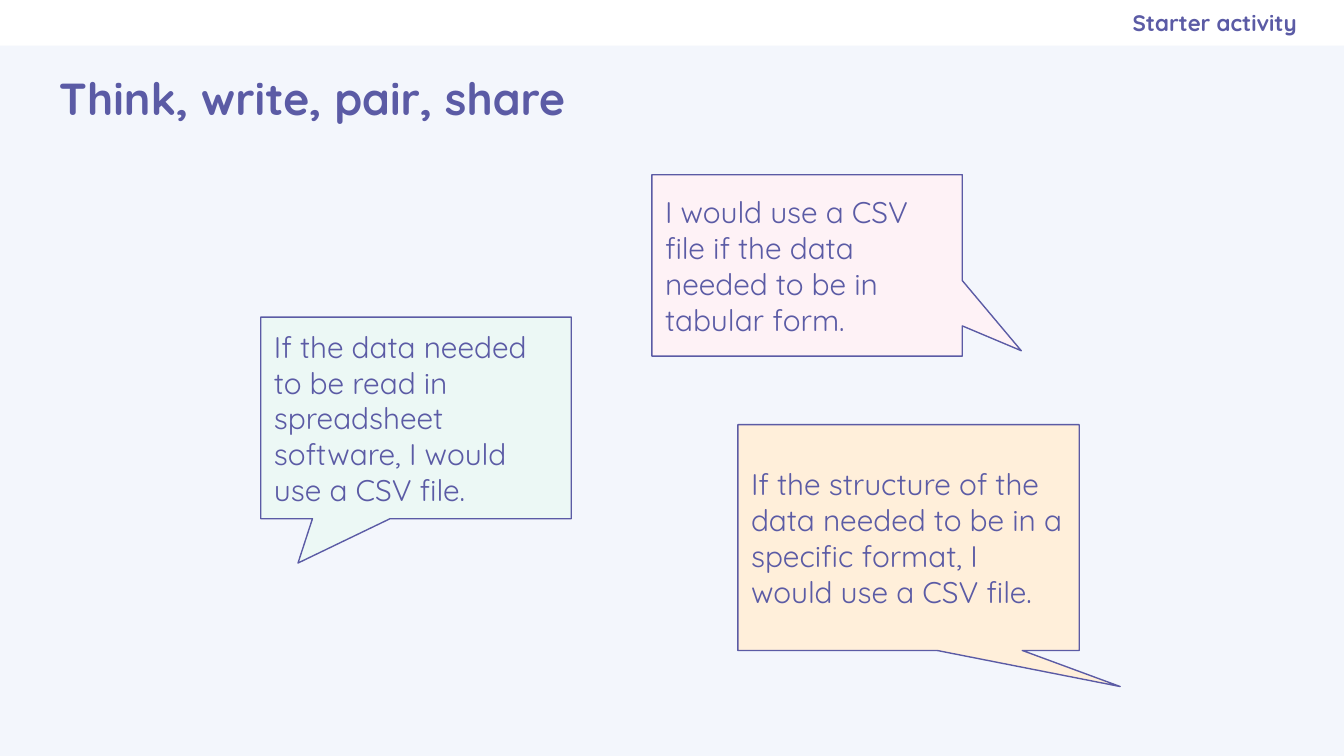
from dataclasses import dataclass

from pptx import Presentation
from pptx.dml.color import RGBColor
from pptx.enum.shapes import MSO_SHAPE
from pptx.enum.text import MSO_ANCHOR, PP_ALIGN
from pptx.util import Inches, Pt


@dataclass(frozen=True)
class Theme:
    font: str = "Quicksand"
    ink: str = "5B5BA5"
    background: str = "F3F6FC"
    band: str = "FFFFFF"
    pink: str = "FEF2F6"
    mint: str = "ECF8F5"
    peach: str = "FFEFDA"
    title_size: int = 24
    label_size: int = 12
    body_size: int = 16
    outline: float = 0.75


@dataclass(frozen=True)
class Callout:
    text: str
    box: tuple[float, float, float, float]
    tip: tuple[float, float]
    fill: str


THEME = Theme()
CALLOUTS = [
    Callout("I would use a CSV file if the data needed to be in tabular form.",
            (4.85, 1.3, 2.31, 1.35), (0.69, 0.47), THEME.pink),
    Callout("If the data needed to be read in spreadsheet software, "
            "I would use a CSV file.",
            (1.94, 2.36, 2.31, 1.5), (-0.38, 0.72), THEME.mint),
    Callout("If the structure of the data needed to be in a specific format, "
            "I would use a CSV file.",
            (5.49, 3.16, 2.54, 1.68), (0.62, 0.66), THEME.peach),
]


def write(sp, text: str, *, size: int, bold: bool = False,
          align: PP_ALIGN = PP_ALIGN.LEFT, right: float = 0.1) -> None:
    tf = sp.text_frame
    tf.word_wrap = True
    tf.vertical_anchor = MSO_ANCHOR.MIDDLE
    tf.margin_left = tf.margin_top = tf.margin_bottom = Inches(0.1)
    tf.margin_right = Inches(right)
    p = tf.paragraphs[0]
    p.alignment = align
    r = p.add_run()
    r.text = text
    r.font.name = THEME.font
    r.font.size = Pt(size)
    r.font.bold = bold
    r.font.color.rgb = RGBColor.from_string(THEME.ink)


def add_filled(s, kind: MSO_SHAPE, box: tuple[float, ...], fill: str):
    sp = s.shapes.add_shape(kind, *map(Inches, box))
    sp.shadow.inherit = False
    sp.fill.solid()
    sp.fill.fore_color.rgb = RGBColor.from_string(fill)
    sp.line.fill.background()
    return sp


def add_callout(s, callout: Callout) -> None:
    sp = add_filled(s, MSO_SHAPE.ROUNDED_RECTANGULAR_CALLOUT,
                    callout.box, callout.fill)
    for i, value in enumerate((*callout.tip, 0)):
        sp.adjustments[i] = value
    sp.line.color.rgb = RGBColor.from_string(THEME.ink)
    sp.line.width = Pt(THEME.outline)
    write(sp, callout.text, size=THEME.body_size)


def main() -> None:
    prs = Presentation()
    prs.slide_width = Inches(10)
    prs.slide_height = prs.slide_width * 9 // 16
    s = prs.slides.add_slide(prs.slide_layouts[6])
    s.background.fill.solid()
    s.background.fill.fore_color.rgb = RGBColor.from_string(THEME.background)

    add_filled(s, MSO_SHAPE.RECTANGLE, (0, 0, 10, 0.34), THEME.band)
    title = s.shapes.add_textbox(*map(Inches, (0.34, 0.34, 9.32, 0.77)))
    write(title, "Think, write, pair, share", size=THEME.title_size, bold=True)
    label = s.shapes.add_textbox(*map(Inches, (5.75, 0, 3.9, 0.34)))
    write(label, "Starter activity", size=THEME.label_size, bold=True,
          align=PP_ALIGN.RIGHT, right=0)

    for callout in CALLOUTS:
        add_callout(s, callout)
    prs.save("out.pptx")


if __name__ == "__main__":
    main()
